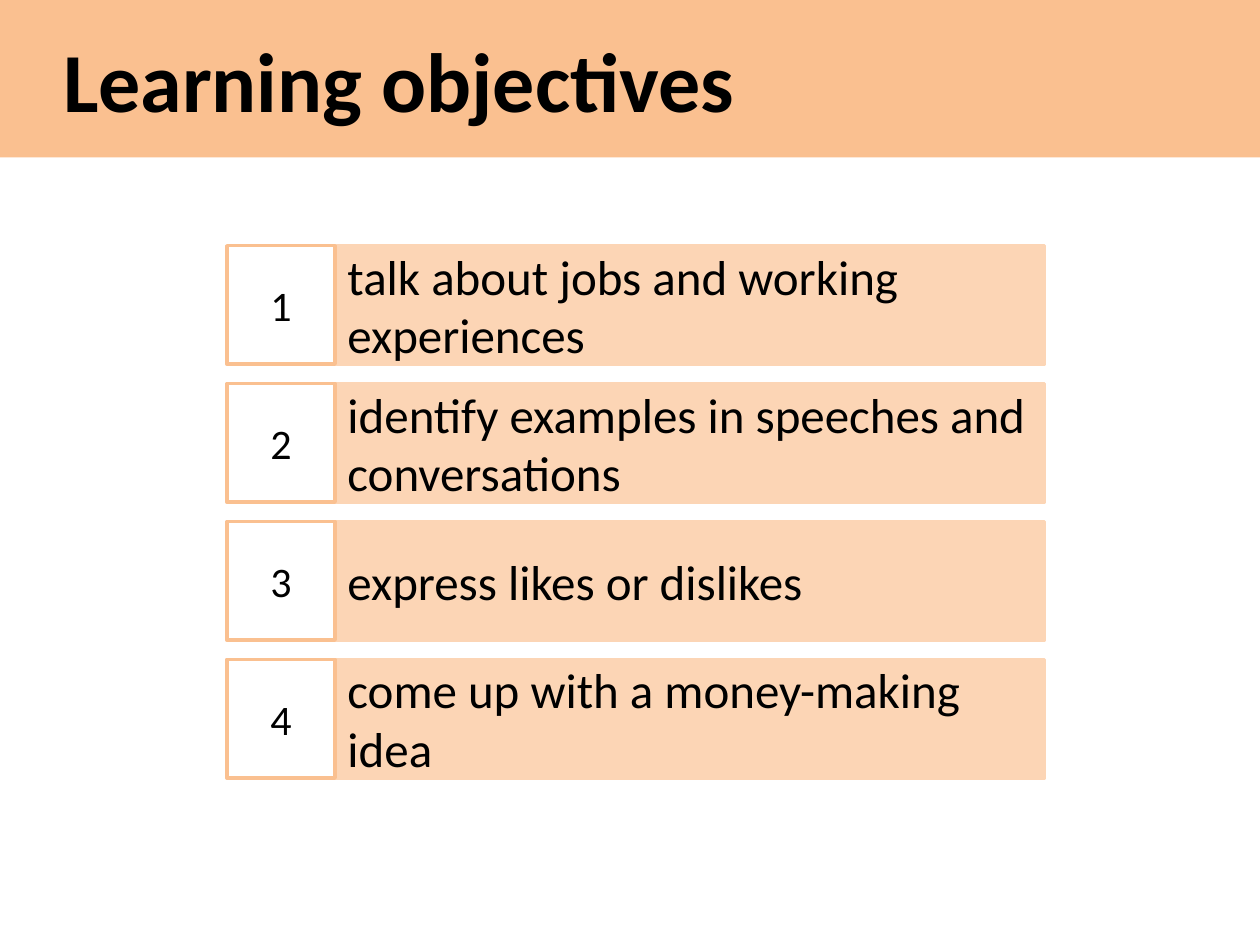
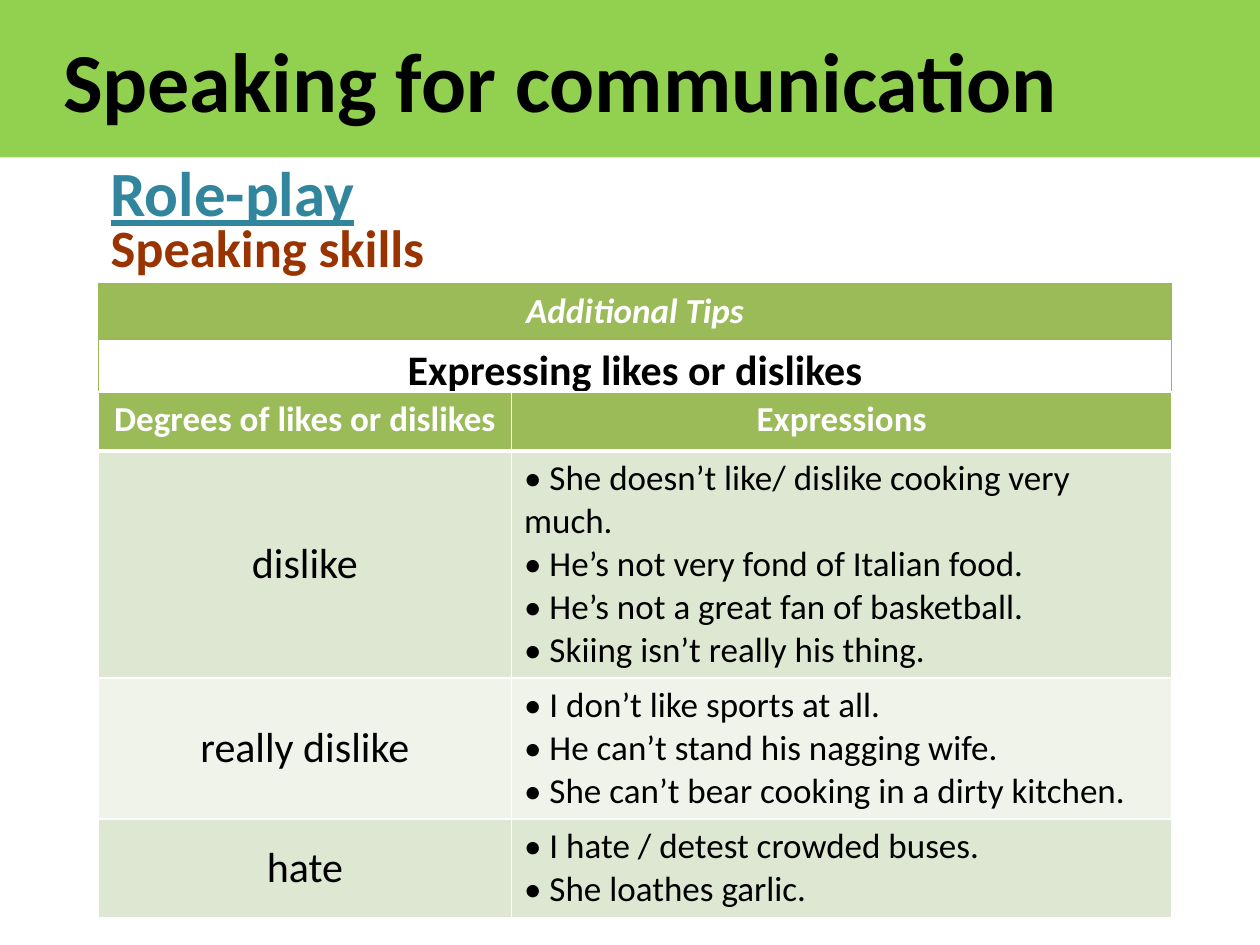
from dataclasses import dataclass

from lxml.etree import SubElement
from pptx import Presentation
from pptx.dml.color import RGBColor
from pptx.enum.shapes import MSO_SHAPE as Shape
from pptx.enum.text import MSO_ANCHOR as Anchor, MSO_AUTO_SIZE as AutoSize, PP_ALIGN as Align
from pptx.oxml.ns import qn
from pptx.util import Inches, Pt


@dataclass(frozen=True)
class Theme:
    font: str = "Calibri"
    black: str = "000000"
    white: str = "FFFFFF"
    orange: str = "FAC090"
    pale_orange: str = "FCD5B5"
    lime: str = "92D050"
    green: str = "9BBB59"
    green_edge: str = "98B955"
    band_dark: str = "DEE7D1"
    band_light: str = "EFF3EA"
    teal: str = "31859C"
    brown: str = "993300"
    title: int = 48
    heading: int = 36
    subheading: int = 30
    objective: int = 28
    label: int = 24
    body: int = 20


THEME = Theme()
OBJECTIVES = [
    "talk about jobs and working experiences",
    "identify examples in speeches and conversations",
    "express likes or dislikes",
    "come up with a money-making idea",
]
DEGREES = [
    ("dislike", 1.8, [
        "• She doesn’t like/ dislike cooking very much.",
        "• He’s not very fond of Italian food.",
        "• He’s not a great fan of basketball.",
        "• Skiing isn’t really his thing.",
    ]),
    ("really dislike", 1.12, [
        "• I don’t like sports at all.",
        "• He can’t stand his nagging wife.",
        "• She can’t bear cooking in a dirty kitchen.",
    ]),
    ("hate", 0.78, [
        "• I hate / detest crowded buses.",
        "• She loathes garlic.",
    ]),
]


def color(value):
    return RGBColor.from_string(value)


def paint(fill, value):
    fill.solid()
    fill.fore_color.rgb = color(value)


def write(text_frame, text, size, ink=THEME.black, align=Align.LEFT,
          bold=False, italic=False, underline=False):
    text_frame.text = text
    for paragraph in text_frame.paragraphs:
        paragraph.alignment = align
        for run in paragraph.runs:
            font = run.font
            font.name, font.size, font.color.rgb = THEME.font, Pt(size), color(ink)
            font.bold, font.italic, font.underline = bold, italic, underline


def add_titled_slide(presentation, title, band_color):
    slide = presentation.slides.add_slide(presentation.slide_layouts[5])
    band = slide.shapes.title
    band.left, band.top = 0, 0
    band.width, band.height = presentation.slide_width, Inches(1.25)
    paint(band.fill, band_color)
    text_frame = band.text_frame
    text_frame.auto_size = AutoSize.NONE
    text_frame.vertical_anchor = Anchor.MIDDLE
    text_frame.margin_left = Inches(0.5)
    write(text_frame, title, THEME.title, bold=True)
    return slide


def add_box(slide, left, top, width, height, text, size, fill, edge, align):
    box = slide.shapes.add_shape(Shape.RECTANGLE, Inches(left), Inches(top),
                                 Inches(width), Inches(height))
    box.shadow.inherit = False
    paint(box.fill, fill)
    box.line.color.rgb = color(edge)
    box.line.width = Pt(2)
    box.text_frame.word_wrap = True
    box.text_frame.vertical_anchor = Anchor.MIDDLE
    write(box.text_frame, text, size, align=align)


def add_objective_list(slide, left, top, width, objectives):
    number_width, height, pitch = 0.86, 0.94, 1.095
    for index, objective in enumerate(objectives):
        row_top = top + index * pitch
        add_box(slide, left + number_width, row_top, width - number_width, height, objective,
                THEME.objective, THEME.pale_orange, THEME.pale_orange, Align.LEFT)
        add_box(slide, left, row_top, number_width, height, str(index + 1),
                THEME.label, THEME.white, THEME.orange, Align.CENTER)


def add_heading(slide, left, top, width, height, text, size, ink, underline=False):
    box = slide.shapes.add_textbox(Inches(left), Inches(top), Inches(width), Inches(height))
    box.text_frame.word_wrap = True
    write(box.text_frame, text, size, ink, bold=True, underline=underline)


def add_plain_table(slide, left, top, widths, heights):
    frame = slide.shapes.add_table(len(heights), len(widths), Inches(left), Inches(top),
                                   Inches(sum(widths)), Inches(sum(heights)))
    table = frame.table
    table.first_row = table.horz_banding = False
    for column, width in zip(table.columns, widths):
        column.width = Inches(width)
    for row, height in zip(table.rows, heights):
        row.height = Inches(height)
    return table


def style_cell(cell, edge, fill=None, line=1, top=None, bottom=None):
    properties = cell._tc.get_or_add_tcPr()
    for side, width in (("L", line), ("R", line), ("T", top or line), ("B", bottom or line)):
        border = SubElement(properties, qn(f"a:ln{side}"), w=str(Pt(width)))
        solid = SubElement(border, qn("a:solidFill"))
        SubElement(solid, qn("a:srgbClr"), val=edge)
    if fill:
        paint(cell.fill, fill)
    else:
        cell.fill.background()


def add_tips_table(slide, left, top, width):
    table = add_plain_table(slide, left, top, [width], [0.44, 0.5])
    tips, topic = table.cell(0, 0), table.cell(1, 0)
    style_cell(tips, THEME.green_edge, THEME.green, line=0.75)
    style_cell(topic, THEME.green_edge, line=0.75)
    write(tips.text_frame, "Additional Tips", THEME.body, THEME.white, Align.CENTER,
          bold=True, italic=True)
    write(topic.text_frame, "Expressing likes or dislikes", THEME.label,
          align=Align.CENTER, bold=True)


def add_expressions_table(slide, left, top, width, degrees):
    degree_width = 3.28
    heights = [0.47] + [height for _, height, _ in degrees]
    table = add_plain_table(slide, left, top, [degree_width, width - degree_width], heights)
    for column, header in enumerate(["Degrees of likes or dislikes", "Expressions"]):
        cell = table.cell(0, column)
        style_cell(cell, THEME.white, THEME.green, bottom=3)
        write(cell.text_frame, header, THEME.body, THEME.white, Align.CENTER, bold=True)
    for row, (degree, _, expressions) in enumerate(degrees, 1):
        degree_cell, expression_cell = table.cell(row, 0), table.cell(row, 1)
        band = THEME.band_dark if row % 2 else THEME.band_light
        for cell in (degree_cell, expression_cell):
            style_cell(cell, THEME.white, band, top=3 if row == 1 else 1)
        degree_cell.vertical_anchor = Anchor.MIDDLE
        write(degree_cell.text_frame, degree, THEME.label, align=Align.CENTER)
        write(expression_cell.text_frame, "\n".join(expressions), THEME.body)


def build_objectives_slide(presentation):
    slide = add_titled_slide(presentation, "Learning objectives", THEME.orange)
    add_objective_list(slide, 1.8, 1.95, 6.49, OBJECTIVES)


def build_speaking_slide(presentation):
    slide = add_titled_slide(presentation, "Speaking for communication", THEME.lime)
    left, width = 0.78, 8.52
    add_tips_table(slide, left, 2.25, width)
    add_expressions_table(slide, left, 3.11, width, DEGREES)
    add_heading(slide, left, 1.17, 2.3, 0.71, "Role-play", THEME.heading, THEME.teal, True)
    add_heading(slide, left, 1.66, 2.8, 0.61, "Speaking skills", THEME.subheading, THEME.brown)


def main():
    presentation = Presentation()
    presentation.slide_width, presentation.slide_height = Inches(10), Inches(7.5)
    build_objectives_slide(presentation)
    build_speaking_slide(presentation)
    presentation.save("out.pptx")


if __name__ == "__main__":
    main()
